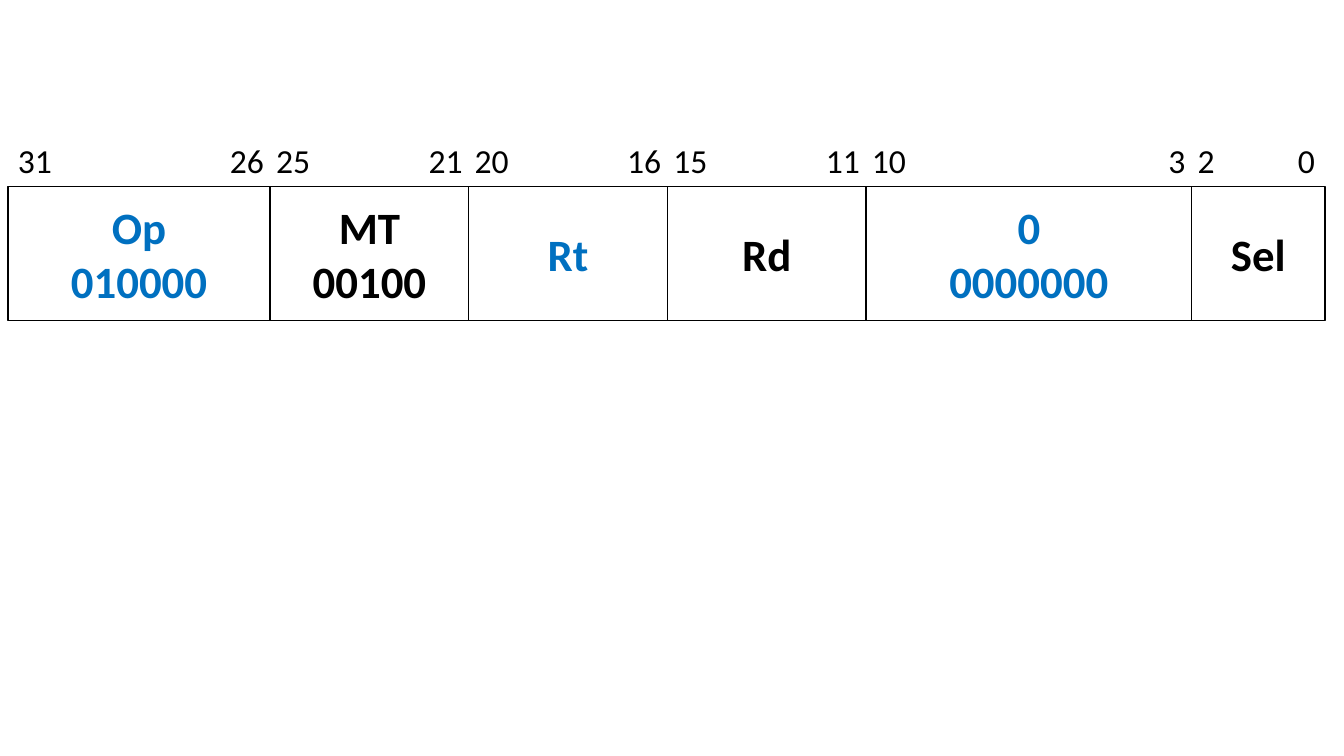
from lxml import etree
from pptx import Presentation
from pptx.dml.color import RGBColor
from pptx.enum import shapes, text
from pptx.oxml import ns
from pptx.util import Inches, Pt

BLACK = RGBColor(0x00, 0x00, 0x00)
BLUE = RGBColor(0x00, 0x70, 0xC0)

# Field: high bit, low bit, width in inches, lines of text, text colour
FIELDS = [
    (31, 26, 2.6, "Op\n010000", BLUE),
    (25, 21, 1.97, "MT\n00100", BLACK),
    (20, 16, 1.97, "Rt", BLUE),
    (15, 11, 1.97, "Rd", BLACK),
    (10, 3, 3.23, "0\n0000000", BLUE),
    (2, 0, 1.32, "Sel", BLACK),
]
WORD_LEFT, WORD_TOP, WORD_HEIGHT = 0.08, 1.85, 1.33
RULER_TOP, RULER_HEIGHT, RULER_INSET = 1.34, 0.5, 0.1
BIT_GAP = 0.06


def format_font(font, color, **values):
    font.color.rgb = color
    for name, value in {"name": "Calibri", **values}.items():
        setattr(font, name, value)


def add_field(slide, left, width, label, color):
    field = slide.shapes.add_shape(
        shapes.MSO_SHAPE.RECTANGLE, Inches(left), Inches(WORD_TOP),
        Inches(width), Inches(WORD_HEIGHT))
    field.shadow.inherit = False
    field.fill.background()
    field.line.color.rgb = BLACK
    field.line.width = Pt(1)
    frame = field.text_frame
    frame.word_wrap = False
    frame.vertical_anchor = text.MSO_ANCHOR.MIDDLE
    frame.text = label
    for line in frame.paragraphs:
        line.alignment = text.PP_ALIGN.CENTER
        format_font(line.runs[0].font, color, size=Pt(32), bold=True)


def add_bit_ruler(slide, bits, stops, width):
    ruler = slide.shapes.add_textbox(
        Inches(WORD_LEFT), Inches(RULER_TOP), Inches(width), Inches(RULER_HEIGHT))
    frame = ruler.text_frame
    frame.word_wrap = True
    numbers = frame.paragraphs[0]
    # Tab stops put each bit number at the edge of its field
    tabs = etree.SubElement(numbers._p.get_or_add_pPr(), ns.qn("a:tabLst"))
    for position, side in stops:
        etree.SubElement(tabs, ns.qn("a:tab"),
                         pos=str(Inches(position - RULER_INSET)), algn=side)
    run = numbers.add_run()
    run.text = "\t".join(str(bit) for bit in bits)
    format_font(run.font, BLACK, size=Pt(24))


def main():
    prs = Presentation()
    prs.slide_width, prs.slide_height = Inches(13.33), Inches(7.5)
    slide = prs.slides.add_slide(prs.slide_layouts[6])

    # Instruction word, field by field
    offset, bits, stops = 0, [], []
    for high, low, width, label, color in FIELDS:
        add_field(slide, WORD_LEFT + offset, width, label, color)
        bits += [high, low]
        stops += [(offset + BIT_GAP, "l"), (offset + width - BIT_GAP, "r")]
        offset += width

    # Bit numbers; the first one starts at the box inset, without a tab
    add_bit_ruler(slide, bits, stops[1:], offset)
    prs.save("out.pptx")


if __name__ == "__main__":
    main()
